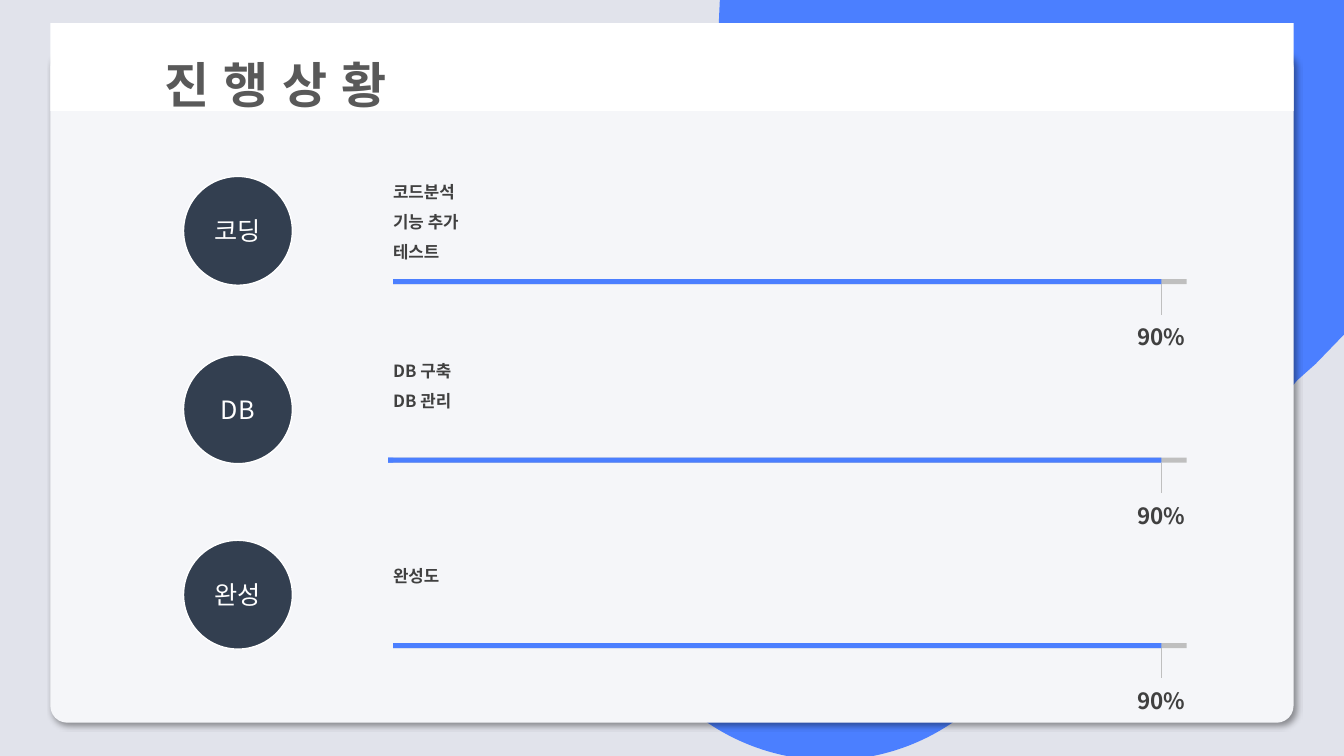
from copy import deepcopy

from lxml import etree
from pptx import Presentation
from pptx import util as u
from pptx.dml.color import RGBColor
from pptx.enum import shapes, text
from pptx.oxml import parse_xml
from pptx.oxml.ns import nsdecls, qn

PX = 9144  # one px is a hundredth of an inch
FONT = "Noto Sans CJK KR"
NO_GRID_STYLE = "{2D5ABB26-0587-4C30-8999-92F81FD0307C}"
COLORS = {
    "page": "E1E3EB", "blue": "4B7FFF", "card": "F5F6F9", "white": "FFFFFF",
    "title": "595959", "body": "404040", "track": "BFBFBF", "navy": "333F50",
}
BAR_LEFT, BAR_RIGHT, BAR_DONE = 390, 1177, 1152

# Label, circle top, bar start, notes top, notes height, notes top inset, notes
STAGES = [
    ("코딩", 175, BAR_LEFT, 165, 97, 5, "코드분석\n기능 추가\n테스트"),
    ("DB", 352, 385, 343, 71, 5, "DB 구축\nDB 관리"),
    ("완성", 536, BAR_LEFT, 527, 67, 24, "완성도"),
]

# Blob outline: two numbers are a line end, six are a cubic curve
BLOB_BOX = (607, 0, 726, 754)
BLOB_START = (1333, 0)
BLOB = [
    (1333, 332), (1305, 361), (1287, 377), (1282, 383),
    (1278, 389, 1273, 394, 1267, 400), (976, 691),
    (897, 770, 772, 775, 687, 706), (670, 691), (655, 675),
    (586, 590, 591, 464, 670, 385), (821, 235), (787, 201),
    (738, 151, 713, 86, 713, 22), (714, 0),
]


def px(*lengths):
    return [round(length * PX) for length in lengths]


def color(name):
    return RGBColor.from_string(COLORS[name])


def write(para, words, size, fill, bold=False, align=None, spacing=None, tracking=None):
    for index, line in enumerate(words.split("\n")):
        if index:
            para.add_line_break()
            para._p[-1].append(deepcopy(span._r.rPr))
        span = para.add_run()
        span.text = line
        span.font.size = u.Pt(size)
        span.font.bold = bold
        span.font.name = FONT
        span.font.color.rgb = color(fill)
        east_asian = etree.SubElement(span.font._element, qn("a:ea"))
        east_asian.set("typeface", FONT)
        if tracking:
            span.font._element.set("spc", str(tracking))
    if align is not None:
        para.alignment = align
    if spacing is not None:
        para.line_spacing = spacing


def paint(shape, fill, line=None):
    shape.fill.solid()
    shape.fill.fore_color.rgb = color(fill)
    if line:
        shape.line.color.rgb = color(line)
        shape.line.width = u.Pt(1)
    else:
        shape.line.fill.background()


def add_block(page, kind, left, top, width, height, fill, line=None, adjust=()):
    shape = page.shapes.add_shape(kind, *px(left, top, width, height))
    shape.shadow.inherit = False
    paint(shape, fill, line)
    for index, value in enumerate(adjust):
        shape.adjustments[index] = value
    return shape


def add_blob(page):
    builder = page.shapes.build_freeform(*BLOB_START, scale=PX)
    builder.add_line_segments([step[-2:] for step in BLOB])
    blob = builder.convert_to_shape()
    blob.shadow.inherit = False
    paint(blob, "blue")
    blob.left, blob.top, blob.width, blob.height = px(*BLOB_BOX)

    # Redraw the outline with true curves, in px from the blob's corner
    left, top, width, height = BLOB_BOX
    outline = blob._element.find(".//" + qn("a:path"))
    outline.set("w", str(width))
    outline.set("h", str(height))
    for child in list(outline):
        outline.remove(child)
    for index, step in enumerate([BLOB_START] + BLOB):
        kind = "a:cubicBezTo" if len(step) == 6 else "a:lnTo" if index else "a:moveTo"
        segment = etree.SubElement(outline, qn(kind))
        for x, y in zip(step[::2], step[1::2]):
            etree.SubElement(segment, qn("a:pt"), x=str(x - left), y=str(y - top))
    etree.SubElement(outline, qn("a:close"))


def add_card(page):
    card = add_block(page, shapes.MSO_SHAPE.ROUNDED_RECTANGLE, 50, 50, 1233, 667,
                     "card", adjust=[0.025])
    effects = card._element.spPr.find(qn("a:effectLst"))
    effects.append(parse_xml(
        f'<a:outerShdw {nsdecls("a")} blurRad="{u.Pt(4)}" dist="{u.Pt(3)}" dir="2700000"'
        ' algn="tl" rotWithShape="0"><a:srgbClr val="000000"><a:alpha val="40000"/>'
        '</a:srgbClr></a:outerShdw>'))


def add_title(page, words):
    title = page.shapes.title
    title.left, title.top, title.width, title.height = px(50, 23, 1233, 87)
    title._element.spPr.append(parse_xml(
        f'<a:prstGeom {nsdecls("a")} prst="round2SameRect"><a:avLst>'
        '<a:gd name="adj1" fmla="val 13700"/><a:gd name="adj2" fmla="val 0"/>'
        '</a:avLst></a:prstGeom>'))
    paint(title, "white")
    frame = title.text_frame
    frame.auto_size = text.MSO_AUTO_SIZE.NONE
    frame.vertical_anchor = text.MSO_ANCHOR.MIDDLE
    frame.margin_left, frame.margin_top = px(113, 9)
    write(frame.paragraphs[0], words, 35, "title", bold=True,
          align=text.PP_ALIGN.LEFT, spacing=1.5, tracking=100)
    # Bring the title in front of the card
    page.shapes._spTree.append(title._element)


def add_notes(page, top, height, inset, words):
    box = page.shapes.add_textbox(*px(380, top, 398, height))
    frame = box.text_frame
    frame.word_wrap = True
    frame.margin_top = px(inset)[0]
    write(frame.paragraphs[0], words, 12, "body", bold=True, spacing=1.5)


def add_circle(page, top, label):
    circle = add_block(page, shapes.MSO_SHAPE.OVAL, 182, top, 108, 108, "navy", "white")
    frame = circle.text_frame
    frame.vertical_anchor = text.MSO_ANCHOR.MIDDLE
    write(frame.paragraphs[0], label, 18, "white", align=text.PP_ALIGN.CENTER)


def add_border(cell, side):
    cell._tc.get_or_add_tcPr().insert(0, parse_xml(
        f'<a:{side} {nsdecls("a")} w="{u.Pt(1.5)}"><a:solidFill>'
        f'<a:srgbClr val="{COLORS["track"]}"/></a:solidFill></a:{side}>'))


def add_callout(page, top, words):
    half, heights = 34, (30, 43)
    table = page.shapes.add_table(
        2, 2, *px(BAR_DONE - half, top, 2 * half, sum(heights))).table
    table.first_row = table.horz_banding = False
    table._tbl.tblPr.find(qn("a:tableStyleId")).text = NO_GRID_STYLE
    for row, height in zip(table.rows, px(*heights)):
        row.height = height
    for cell in table.iter_cells():
        cell.fill.background()
        cell.margin_left = cell.margin_right = cell.margin_top = cell.margin_bottom = 0
        cell.vertical_anchor = text.MSO_ANCHOR.MIDDLE
        cell.text_frame.paragraphs[0]._p.get_or_add_endParaRPr().set("sz", "800")
    add_border(table.cell(0, 0), "lnR")
    add_border(table.cell(0, 1), "lnL")
    value = table.cell(1, 0)
    value.merge(table.cell(1, 1))
    write(value.text_frame.paragraphs[0], words, 16, "body", bold=True,
          align=text.PP_ALIGN.CENTER)


def add_stage(page, label, top, bar_start, *notes):
    bar = shapes.MSO_SHAPE.RECTANGLE
    bar_top = top + 102
    add_block(page, bar, BAR_LEFT, bar_top, BAR_RIGHT - BAR_LEFT, 5, "track")
    if bar_start < BAR_LEFT:
        add_block(page, bar, bar_start, bar_top, BAR_LEFT - bar_start, 5, "blue")
    add_block(page, bar, bar_start, bar_top, BAR_DONE - bar_start, 5, "blue")
    add_notes(page, *notes)
    add_callout(page, bar_top + 5, "90%")
    add_circle(page, top, label)


def main():
    deck = Presentation()
    deck.slide_width, deck.slide_height = px(1333, 750)
    page = deck.slides.add_slide(deck.slide_layouts[5])
    page.background.fill.solid()
    page.background.fill.fore_color.rgb = color("page")

    # Backdrop and heading
    add_blob(page)
    add_card(page)
    add_title(page, "진 행 상 황")

    # Progress rows
    for stage in STAGES:
        add_stage(page, *stage)
    deck.save("out.pptx")


if __name__ == "__main__":
    main()
